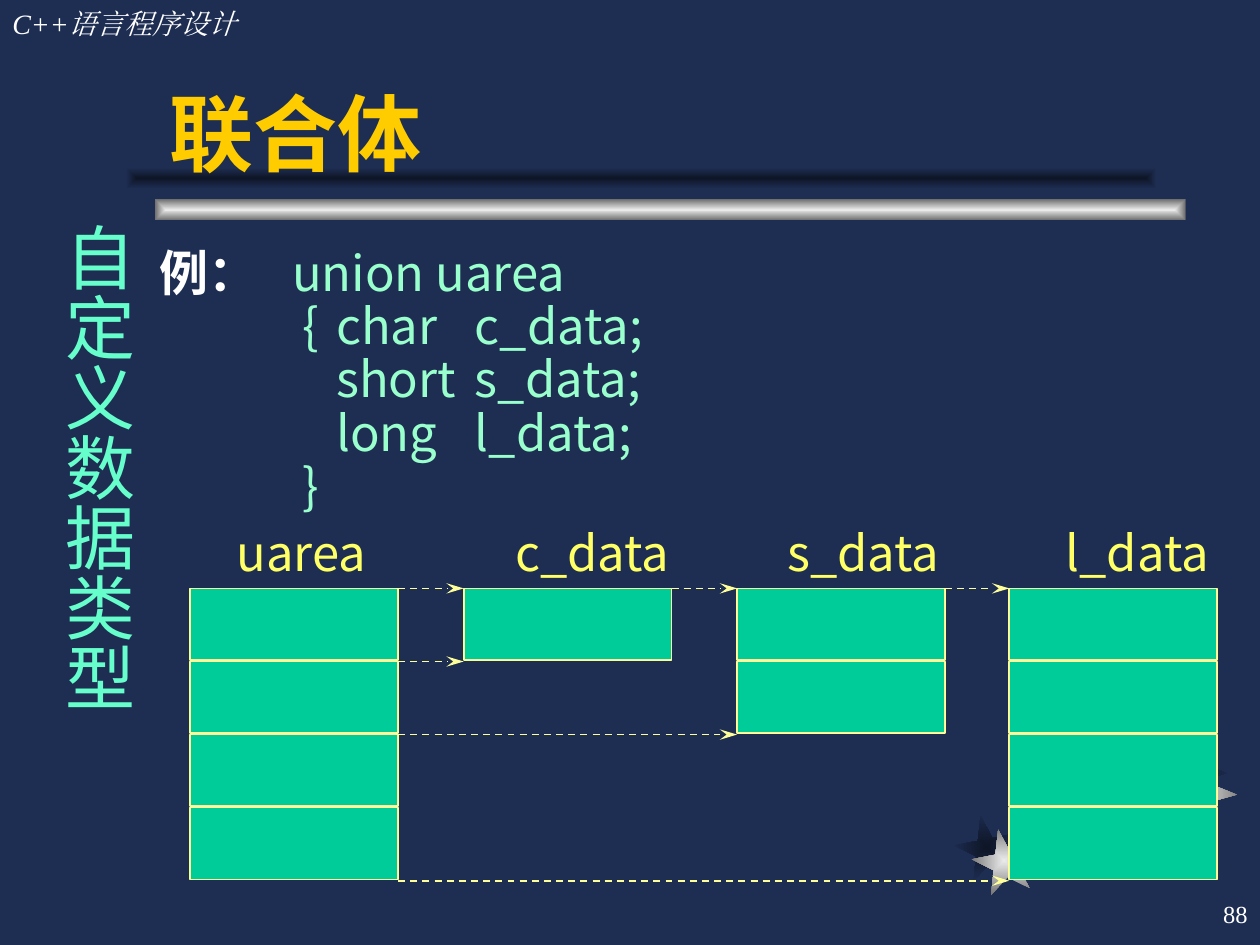
from dataclasses import dataclass
from typing import NamedTuple

from lxml import etree
from pptx import Presentation
from pptx.dml.color import RGBColor
from pptx.enum import dml, shapes, text
from pptx.oxml.ns import qn
from pptx.util import Inches, Pt


@dataclass(frozen=True)
class Theme:
    background: str = "1E2E53"
    shade: tuple = ("0E1526", "1E2E53")
    silver: tuple = ("EAEAEA", "6C6C6C")
    cell: str = "00CC99"
    outline: str = "FFFF99"
    white: str = "FFFFFF"
    title: str = "FFCC00"
    code: str = "99FFCC"
    label: str = "FFFF66"
    sidebar: str = "66FFCC"
    sans: str = "Noto Sans CJK SC"
    serif: str = "Times New Roman"
    heading: str = "Arial"
    title_size: int = 48
    sidebar_size: int = 40
    body_size: int = 28
    header_size: int = 16
    number_size: int = 14


THEME = Theme()


class Box(NamedTuple):
    left: float
    top: float
    width: float
    height: float


class Style(NamedTuple):
    size: int
    font: str
    color: str
    bold: bool = False
    italic: bool = False


class Star(NamedTuple):
    box: Box
    rotation: int
    colors: tuple


class Member(NamedTuple):
    """A column of storage cells with its name above."""
    name: str
    left: float
    cells: int
    label_left: float


class Arrow(NamedTuple):
    start: int
    end: int
    row: int


STARS = [
    Star(Box(7.58, 6.47, 0.5, 0.5), 349, THEME.shade),
    Star(Box(8.41, 5.85, 0.46, 0.46), 0, THEME.shade),
    Star(Box(9.06, 5.75, 0.67, 0.67), 22, THEME.shade),
    Star(Box(7.72, 6.58, 0.5, 0.5), 349, THEME.silver),
    Star(Box(8.49, 5.94, 0.46, 0.46), 0, THEME.silver),
    Star(Box(9.14, 5.92, 0.67, 0.67), 22, THEME.silver),
]
MEMBERS = [
    Member("uarea", 1.51, 4, 1.78),
    Member("c_data", 3.68, 1, 3.99),
    Member("s_data", 5.85, 2, 6.15),
    Member("l_data", 8.01, 4, 8.36),
]
ARROWS = [Arrow(0, 1, 0), Arrow(1, 2, 0), Arrow(2, 3, 0),
          Arrow(0, 1, 1), Arrow(0, 2, 2), Arrow(0, 3, 4)]
CODE_LINES = ["\t{\tchar\tc_data;", "\t\tshort\ts_data;", "\t\tlong\tl_data;", "\t}"]
CODE_TABS = (1.13, 1.4, 2.5)
CELL_TOP, CELL_PITCH, CELL_WIDTH, CELL_HEIGHT = 4.67, 0.58, 1.65, 0.57
LABEL_TOP, LABEL_WIDTH, LABEL_HEIGHT = 4.1, 1.6, 0.57


def rgb(color: str) -> RGBColor:
    return RGBColor.from_string(color)


def add_shape(slide, kind, box: Box):
    shape = slide.shapes.add_shape(kind, *map(Inches, box))
    shape.shadow.inherit = False
    return shape


def add_glow(slide, kind, box: Box, colors: tuple, rotation: int = 0) -> None:
    """Add a borderless shape shaded from its centre to its edges."""
    shape = add_shape(slide, kind, box)
    shape.rotation = rotation
    shape.line.fill.background()
    shape.fill.gradient()
    for stop, color, position in zip(shape.fill.gradient_stops, colors, (0, 1)):
        stop.color.rgb = rgb(color)
        stop.position = position
    gradient = shape._element.spPr.find(qn("a:gradFill"))
    gradient.remove(gradient.find(qn("a:lin")))
    center = etree.SubElement(gradient, qn("a:path"), {"path": "rect"})
    etree.SubElement(center, qn("a:fillToRect"), dict.fromkeys("ltrb", "50000"))


def add_text_frame(slide, box: Box, anchor=text.MSO_ANCHOR.TOP):
    frame = slide.shapes.add_textbox(*map(Inches, box)).text_frame
    frame.word_wrap = True
    frame.vertical_anchor = anchor
    return frame


def add_run(paragraph, content: str, style: Style) -> None:
    run = paragraph.add_run()
    run.text = content
    run.font.size = Pt(style.size)
    run.font.name = style.font
    run.font.bold = style.bold
    run.font.italic = style.italic
    run.font.color.rgb = rgb(style.color)
    etree.SubElement(run.font._element, qn("a:ea"), typeface=style.font)


def add_line_of_text(slide, box: Box, content: str, style: Style,
                     anchor=text.MSO_ANCHOR.TOP, align=text.PP_ALIGN.LEFT):
    frame = add_text_frame(slide, box, anchor)
    paragraph = frame.paragraphs[0]
    paragraph.alignment = align
    add_run(paragraph, content, style)
    return frame


def format_code_paragraph(paragraph, tabs: tuple) -> None:
    paragraph.line_spacing = 0.7
    paragraph.space_before = Pt(7)
    stops = etree.SubElement(paragraph._p.get_or_add_pPr(), qn("a:tabLst"))
    for tab in tabs:
        etree.SubElement(stops, qn("a:tab"), pos=str(Inches(tab)), algn="l")


def add_code(slide) -> None:
    code = Style(THEME.body_size, THEME.sans, THEME.code)
    frame = add_text_frame(slide, Box(1.17, 2, 8.08, 2.17))
    first = frame.paragraphs[0]
    format_code_paragraph(first, (1.05,))
    add_run(first, "例：", Style(THEME.body_size, THEME.sans, THEME.white, bold=True))
    add_run(first, "\tunion uarea", code)
    for line in CODE_LINES:
        paragraph = frame.add_paragraph()
        format_code_paragraph(paragraph, CODE_TABS)
        add_run(paragraph, line, code)


def add_member(slide, member: Member) -> None:
    for row in range(member.cells):
        top = CELL_TOP + row * CELL_PITCH
        cell = add_shape(slide, shapes.MSO_SHAPE.RECTANGLE,
                         Box(member.left, top, CELL_WIDTH, CELL_HEIGHT))
        cell.fill.solid()
        cell.fill.fore_color.rgb = rgb(THEME.cell)
        cell.line.color.rgb = rgb(THEME.outline)
        cell.line.width = Pt(1)
    add_line_of_text(slide, Box(member.label_left, LABEL_TOP, LABEL_WIDTH, LABEL_HEIGHT),
                     member.name, Style(THEME.body_size, THEME.sans, THEME.label))


def add_arrow(slide, arrow: Arrow) -> None:
    y = Inches(CELL_TOP + arrow.row * CELL_PITCH)
    start = Inches(MEMBERS[arrow.start].left + CELL_WIDTH)
    end = Inches(MEMBERS[arrow.end].left)
    connector = slide.shapes.add_connector(shapes.MSO_CONNECTOR.STRAIGHT, start, y, end, y)
    connector.line.color.rgb = rgb(THEME.outline)
    connector.line.width = Pt(1)
    connector.line.dash_style = dml.MSO_LINE.DASH
    etree.SubElement(connector.line._get_or_add_ln(), qn("a:tailEnd"),
                     type="stealth", len="lg")
    etree.SubElement(connector._element.spPr, qn("a:effectLst"))


def main() -> None:
    presentation = Presentation()
    presentation.slide_width, presentation.slide_height = Inches(10), Inches(7.5)
    slide = presentation.slides.add_slide(presentation.slide_layouts[6])
    slide.background.fill.solid()
    slide.background.fill.fore_color.rgb = rgb(THEME.background)

    for star in STARS:
        add_glow(slide, shapes.MSO_SHAPE.STAR_5_POINT, star.box, star.colors, star.rotation)
    add_glow(slide, shapes.MSO_SHAPE.RECTANGLE, Box(1.23, 1.58, 8.18, 0.17), THEME.silver)
    add_glow(slide, shapes.MSO_SHAPE.RECTANGLE, Box(1, 1.33, 8.18, 0.17), THEME.shade)

    add_line_of_text(slide, Box(0, 0, 3.08, 0.37), "C++语言程序设计",
                     Style(THEME.header_size, THEME.serif, THEME.white, italic=True))
    add_line_of_text(slide, Box(7.92, 7, 2.08, 0.5), "88",
                     Style(THEME.number_size, THEME.serif, THEME.white),
                     text.MSO_ANCHOR.MIDDLE, text.PP_ALIGN.RIGHT)
    add_code(slide)
    for member in MEMBERS:
        add_member(slide, member)
    for arrow in ARROWS:
        add_arrow(slide, arrow)
    add_line_of_text(slide, Box(1.25, 0.25, 8, 1.25), "联合体",
                     Style(THEME.title_size, THEME.heading, THEME.title, bold=True),
                     text.MSO_ANCHOR.BOTTOM)
    sidebar = add_line_of_text(slide, Box(0.3, 1.67, 0.86, 4.2), "自定义数据类型",
                               Style(THEME.sidebar_size, THEME.sans, THEME.sidebar),
                               align=text.PP_ALIGN.CENTER)
    sidebar.margin_left = sidebar.margin_right = Inches(0.05)
    sidebar.margin_top = sidebar.margin_bottom = Inches(0.1)
    sidebar._txBody.bodyPr.set("vert", "eaVert")
    presentation.save("out.pptx")


if __name__ == "__main__":
    main()
